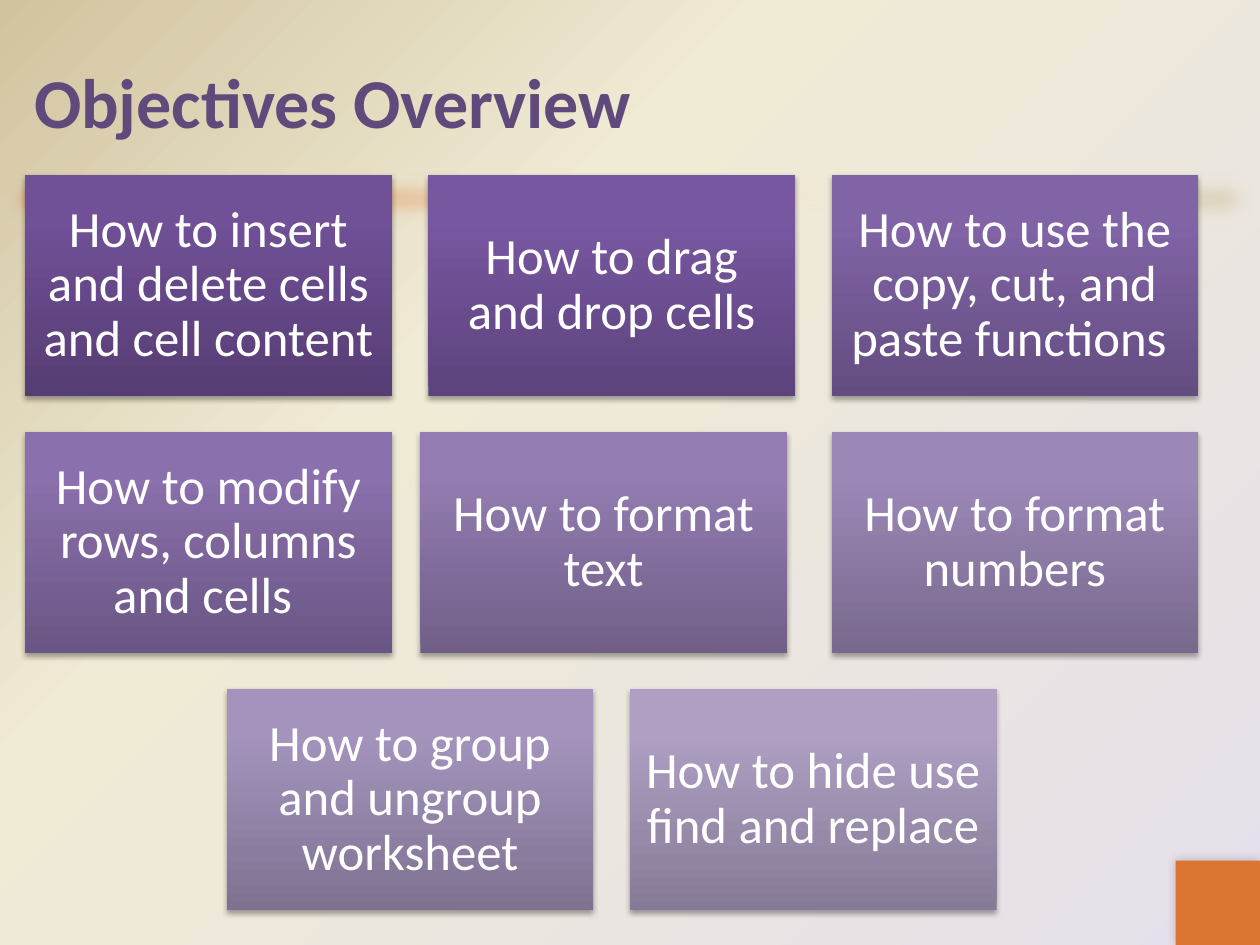
from lxml import etree
from pptx import Presentation
from pptx.dml.color import RGBColor
from pptx.enum.shapes import MSO_SHAPE
from pptx.enum.text import MSO_ANCHOR, PP_ALIGN
from pptx.oxml import parse_xml
from pptx.oxml.ns import nsdecls, qn
from pptx.util import Inches, Pt

RECTANGLE = MSO_SHAPE.RECTANGLE
MIDDLE = MSO_ANCHOR.MIDDLE
LEFT, CENTER = PP_ALIGN.LEFT, PP_ALIGN.CENTER

FONT = "Calibri"
PURPLE = RGBColor(0x60, 0x4A, 0x7B)
ORANGE = RGBColor(0xDB, 0x75, 0x31)
CREAM = RGBColor(0xF0, 0xEB, 0xD5)
TAN = RGBColor(0xD1, 0xC3, 0x9F)
LILAC = RGBColor(0xE6, 0xE0, 0xEC)
WHITE = RGBColor(0xFF, 0xFF, 0xFF)
BLACK = RGBColor(0, 0, 0)

GRID_LEFT, GRID_TOP = 0.2, 1.39
COLUMN_STEP, ROW_STEP = 3.2, 2.04
CARD_WIDTH, CARD_HEIGHT = 2.91, 1.75
CARD_INSET = Inches(0.12)

CARDS = [
    (0, 0, "How to insert and delete cells and cell content", "563D74", "705097", "704F99"),
    (1, 0, "How to drag and drop cells", "5C437C", "7857A1", "7856A3"),
    (2, 0, "How to use the copy, cut, and paste functions ", "634D80", "8164A6", "8163A8"),
    (0, 1, "How to modify rows, columns and cells ", "6A5684", "8A70AC", "8A6FAD"),
    (0.98, 1, "How to format text", "715F88", "927CB1", "937BB3"),
    (2, 1, "How to format numbers", "78698D", "9B88B7", "9C88B9"),
    (0.5, 2, "How to group and ungroup worksheet", "7F7291", "A494BD", "A594BE"),
    (1.5, 2, "How to hide use find and replace", "867B96", "AE9FC3", "AE9FC4"),
]


def apply_gradient(fill, holder, stops, angle=None):
    fill.solid()
    gradient = parse_xml(f'<a:gradFill {nsdecls("a")} rotWithShape="1"><a:gsLst/></a:gradFill>')
    for position, color in stops:
        stop = etree.SubElement(gradient[0], qn("a:gs"), pos=str(position * 1000))
        etree.SubElement(stop, qn("a:srgbClr"), val=str(color))
    if angle is None:
        circle = etree.SubElement(gradient, qn("a:path"), path="circle")
        etree.SubElement(circle, qn("a:fillToRect"), l="100000", t="100000")
    else:
        etree.SubElement(gradient, qn("a:lin"), ang=str(angle * 60000), scaled="0")
    solid = holder.find(qn("a:solidFill"))
    holder.replace(solid, gradient)


def add_rectangle(page, left, top, width, height):
    box = page.shapes.add_shape(
        RECTANGLE, Inches(left), Inches(top), Inches(width), Inches(height))
    box.shadow.inherit = False
    box.line.fill.background()
    return box


def effects_of(box):
    return box._element.spPr.find(qn("a:effectLst"))


def add_shadow(box, opacity, blur, distance, direction):
    shadow = etree.SubElement(
        effects_of(box), qn("a:outerShdw"), blurRad=str(int(Pt(blur))),
        dist=str(int(Pt(distance))), dir=str(direction * 60000), rotWithShape="0")
    color = etree.SubElement(shadow, qn("a:srgbClr"), val=str(BLACK))
    etree.SubElement(color, qn("a:alpha"), val=str(opacity * 1000))


def write_text(para, text, size, color, alignment, bold=False):
    para.alignment = alignment
    span = para.add_run()
    span.text = text
    span.font.name = FONT
    span.font.size = Pt(size)
    span.font.bold = bold
    span.font.color.rgb = color


def set_background(page):
    fill = page.background.fill
    fill.solid()
    holder = page._element.find(".//" + qn("p:bgPr"))
    apply_gradient(fill, holder, [(0, LILAC), (65, CREAM), (100, TAN)])


def add_title(page, text):
    title = page.shapes.title
    title.left, title.top = Inches(0.17), Inches(0.17)
    title.width, title.height = Inches(9.67), Inches(1.25)
    title.text_frame.vertical_anchor = MIDDLE
    write_text(title.text_frame.paragraphs[0], text, 40, PURPLE, LEFT, bold=True)


def add_soft_bar(page):
    bar = add_rectangle(page, 0, 1.33, 10, 0.5)
    apply_gradient(bar.fill, bar._element.spPr, [(0, ORANGE), (65, CREAM), (100, TAN)], 45)
    etree.SubElement(effects_of(bar), qn("a:softEdge"), rad=str(int(Pt(12.5))))


def add_corner(page):
    corner = add_rectangle(page, 9.33, 6.83, 0.67, 0.67)
    corner.fill.solid()
    corner.fill.fore_color.rgb = ORANGE
    add_shadow(corner, 20, 6, 0, 225)


def add_card(page, column, row, text, bottom, middle, top):
    card = add_rectangle(
        page, GRID_LEFT + column * COLUMN_STEP, GRID_TOP + row * ROW_STEP,
        CARD_WIDTH, CARD_HEIGHT)
    apply_gradient(card.fill, card._element.spPr, [(0, bottom), (80, middle), (100, top)], 270)
    add_shadow(card, 35, 3.1, 1.8, 90)
    frame = card.text_frame
    frame.word_wrap = True
    frame.vertical_anchor = MIDDLE
    frame.margin_left = frame.margin_right = CARD_INSET
    frame.margin_top = frame.margin_bottom = CARD_INSET
    para = frame.paragraphs[0]
    para.line_spacing = 0.9
    write_text(para, text, 29, WHITE, CENTER)


def main():
    deck = Presentation()
    deck.slide_width, deck.slide_height = Inches(10), Inches(7.5)
    page = deck.slides.add_slide(deck.slide_layouts[5])
    set_background(page)
    add_title(page, "Objectives Overview")
    add_soft_bar(page)
    add_corner(page)
    for card in CARDS:
        add_card(page, *card)
    deck.save("out.pptx")


if __name__ == "__main__":
    main()
